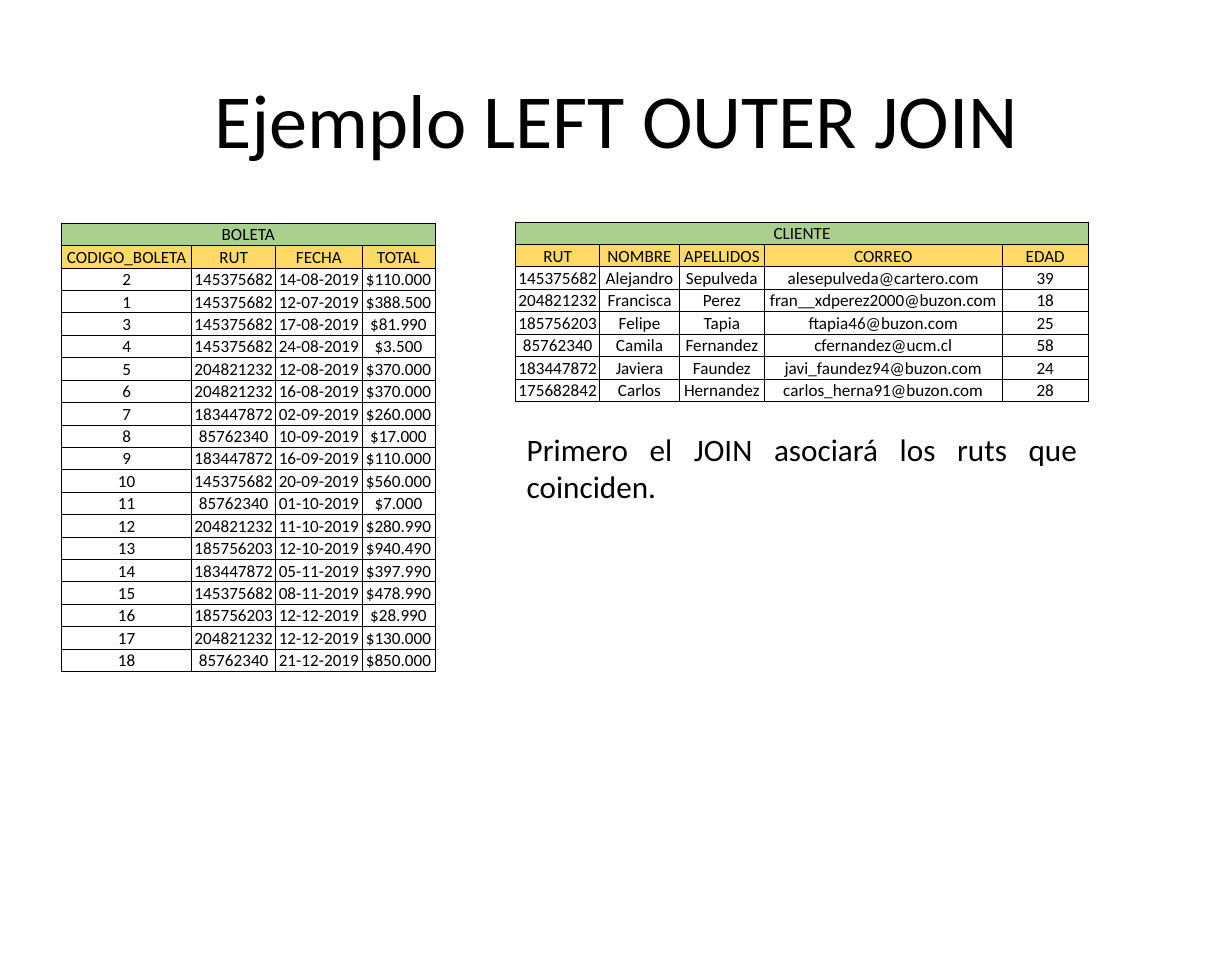
from dataclasses import dataclass

from lxml import etree
from pptx import Presentation
from pptx.dml.color import RGBColor
from pptx.enum.text import MSO_ANCHOR, MSO_AUTO_SIZE, PP_ALIGN
from pptx.oxml.ns import qn
from pptx.util import Inches, Pt

CENTER, JUSTIFY = PP_ALIGN.CENTER, PP_ALIGN.JUSTIFY
MIDDLE, BOTTOM = MSO_ANCHOR.MIDDLE, MSO_ANCHOR.BOTTOM
FIT_SHAPE, NO_FIT = MSO_AUTO_SIZE.SHAPE_TO_FIT_TEXT, MSO_AUTO_SIZE.NONE
FONT = "Calibri"
BLACK, GREEN, YELLOW = "000000", "A9D08E", "FFD966"
ROW_HEIGHT = 0.2
BORDER = Pt(0.5)


@dataclass
class DataTable:
    heading: str
    left: float
    top: float
    widths: list[float]
    columns: list[str]
    records: list[tuple[str, ...]]
    last_anchor: MSO_ANCHOR = MIDDLE


BOLETA = DataTable(
    "BOLETA", 0.55, 1.99, [1.16, 0.75, 0.77, 0.65],
    ["CODIGO_BOLETA", "RUT", "FECHA", "TOTAL"],
    [
        ("2", "145375682", "14-08-2019", "$110.000"),
        ("1", "145375682", "12-07-2019", "$388.500"),
        ("3", "145375682", "17-08-2019", "$81.990"),
        ("4", "145375682", "24-08-2019", "$3.500"),
        ("5", "204821232", "12-08-2019", "$370.000"),
        ("6", "204821232", "16-08-2019", "$370.000"),
        ("7", "183447872", "02-09-2019", "$260.000"),
        ("8", "85762340", "10-09-2019", "$17.000"),
        ("9", "183447872", "16-09-2019", "$110.000"),
        ("10", "145375682", "20-09-2019", "$560.000"),
        ("11", "85762340", "01-10-2019", "$7.000"),
        ("12", "204821232", "11-10-2019", "$280.990"),
        ("13", "185756203", "12-10-2019", "$940.490"),
        ("14", "183447872", "05-11-2019", "$397.990"),
        ("15", "145375682", "08-11-2019", "$478.990"),
        ("16", "185756203", "12-12-2019", "$28.990"),
        ("17", "204821232", "12-12-2019", "$130.000"),
        ("18", "85762340", "21-12-2019", "$850.000"),
    ],
)
CLIENTE = DataTable(
    "CLIENTE", 4.6, 1.98, [0.75, 0.71, 0.76, 2.12, 0.77],
    ["RUT", "NOMBRE", "APELLIDOS", "CORREO", "EDAD"],
    [
        ("145375682", "Alejandro", "Sepulveda", "alesepulveda@cartero.com", "39"),
        ("204821232", "Francisca", "Perez", "fran__xdperez2000@buzon.com", "18"),
        ("185756203", "Felipe", "Tapia", "ftapia46@buzon.com", "25"),
        ("85762340", "Camila", "Fernandez", "cfernandez@ucm.cl", "58"),
        ("183447872", "Javiera", "Faundez", "javi_faundez94@buzon.com", "24"),
        ("175682842", "Carlos", "Hernandez", "carlos_herna91@buzon.com", "28"),
    ],
    last_anchor=BOTTOM,
)


def color(value: str) -> RGBColor:
    return RGBColor.from_string(value)


def write(frame, text: str, *, size: float, align: PP_ALIGN = CENTER) -> None:
    paragraph = frame.paragraphs[0]
    paragraph.alignment = align
    run = paragraph.add_run()
    run.text = text
    run.font.name = FONT
    run.font.size = Pt(size)
    run.font.bold = False
    run.font.color.rgb = color(BLACK)


def add_borders(cell) -> None:
    properties = cell._tc.get_or_add_tcPr()
    for side in ("a:lnL", "a:lnR", "a:lnT", "a:lnB"):
        line = etree.SubElement(properties, qn(side), w=str(BORDER))
        fill = etree.SubElement(line, qn("a:solidFill"))
        etree.SubElement(fill, qn("a:srgbClr"), val=BLACK)


def draw_table(slide, data: DataTable) -> None:
    count = len(data.columns)
    heading = (data.heading,) + ("",) * (count - 1)
    rows = [heading, data.columns, *data.records]
    table = slide.shapes.add_table(
        len(rows), count, Inches(data.left), Inches(data.top),
        Inches(sum(data.widths)), Inches(ROW_HEIGHT * len(rows)),
    ).table
    table.first_row = table.horz_banding = False
    for column, width in zip(table.columns, data.widths):
        column.width = Inches(width)
    table.cell(0, 0).merge(table.cell(0, count - 1))

    fills = {0: GREEN, 1: YELLOW}
    for r, values in enumerate(rows):
        table.rows[r].height = Inches(ROW_HEIGHT)
        for c, value in enumerate(values):
            cell = table.cell(r, c)
            cell.margin_left = cell.margin_right = cell.margin_top = Inches(0.01)
            cell.margin_bottom = 0
            cell.vertical_anchor = data.last_anchor if r == len(rows) - 1 else MIDDLE
            add_borders(cell)
            if r in fills:
                cell.fill.solid()
                cell.fill.fore_color.rgb = color(fills[r])
            else:
                cell.fill.background()
            if not cell.is_spanned:
                write(cell.text_frame, value, size=11)


def main() -> None:
    deck = Presentation()
    deck.slide_width, deck.slide_height = Inches(10.99), Inches(8.51)
    slide = deck.slides.add_slide(deck.slide_layouts[5])

    # Title
    title = slide.shapes.title
    title.left, title.top = Inches(0.55), Inches(0.34)
    title.width, title.height = Inches(9.89), Inches(1.42)
    heading = title.text_frame
    heading.auto_size = NO_FIT
    heading.vertical_anchor = MIDDLE
    heading.margin_left = heading.margin_right = Inches(0.11)
    heading.margin_top = heading.margin_bottom = Inches(0.06)
    write(heading, "Ejemplo LEFT OUTER JOIN", size=49)

    # Source tables
    for data in (BOLETA, CLIENTE):
        draw_table(slide, data)

    # Explanation
    explanation = slide.shapes.add_textbox(
        Inches(4.6), Inches(3.79), Inches(5.11), Inches(0.77)
    ).text_frame
    explanation.word_wrap = True
    explanation.auto_size = FIT_SHAPE
    write(explanation, "Primero el JOIN asociará los ruts que coinciden.",
          size=20, align=JUSTIFY)

    deck.save("out.pptx")


if __name__ == "__main__":
    main()
